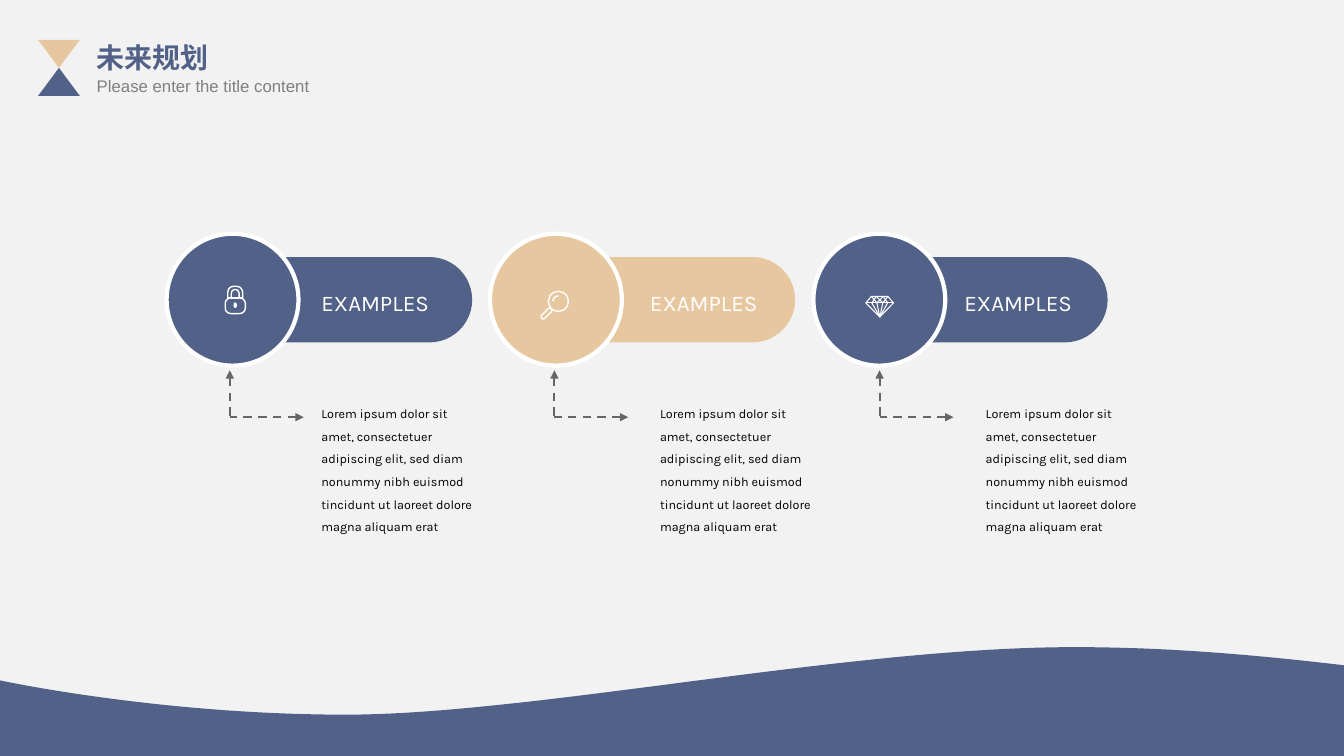
from dataclasses import dataclass

from lxml.etree import SubElement
from pptx import Presentation
from pptx.dml.color import RGBColor
from pptx.enum.dml import MSO_LINE
from pptx.enum.shapes import MSO_CONNECTOR, MSO_SHAPE as SHAPE
from pptx.oxml.ns import qn
from pptx.util import Pt


@dataclass(frozen=True)
class Theme:
    background: str = "F2F2F2"
    blue: str = "526188"
    sand: str = "E7C7A0"
    white: str = "FFFFFF"
    arrow: str = "666666"
    subtitle: str = "808080"
    body: str = "000000"
    title_size: int = 20
    subtitle_size: int = 12
    label_size: int = 16
    body_size: int = 9
    heading_font: str = "Arial"
    body_font: str = "Karla"


theme = Theme()
presentation = Presentation()
presentation.slide_width, presentation.slide_height = Pt(960), Pt(540)
slide = presentation.slides.add_slide(presentation.slide_layouts[6])
slide.background.fill.solid()
slide.background.fill.fore_color.rgb = RGBColor.from_string(theme.background)
shapes = slide.shapes


def paint(shape, fill=None, line=None, weight=1):
    """Give a shape its fill and outline; None leaves that part empty."""
    shape.shadow.inherit = False
    for part, color in ((shape.fill, fill), (shape.line.fill, line)):
        if color:
            part.solid()
            part.fore_color.rgb = RGBColor.from_string(color)
        else:
            part.background()
    if line:
        shape.line.width = Pt(weight)
    return shape


def add_text(box, text, font, size, color, bold=False, spacing=1.0):
    frame = shapes.add_textbox(*map(Pt, box)).text_frame
    frame.word_wrap = True
    paragraph = frame.paragraphs[0]
    paragraph.text = text
    paragraph.line_spacing = spacing
    paragraph.font.name = font
    paragraph.font.size = Pt(size)
    paragraph.font.bold = bold
    paragraph.font.color.rgb = RGBColor.from_string(color)


# Wave along the bottom edge, sampled from three Bézier curves
wave_curves = [
    ((960, 475.2), (887, 466.6), (827.3, 462.24), (766.8, 462.24)),
    ((766.8, 462.24), (604.8, 462.24), (380.16, 510.48), (246.96, 510.48)),
    ((246.96, 510.48), (113.04, 510.48), (0, 486), (0, 486)),
]
steps = 40
wave_points = []
for curve in wave_curves:
    for step in range(steps + 1):
        t = step / steps
        weights = ((1 - t) ** 3, 3 * t * (1 - t) ** 2, 3 * t * t * (1 - t), t ** 3)
        wave_points.append([
            Pt(sum(weight * point[axis] for weight, point in zip(weights, curve)))
            for axis in (0, 1)
        ])
wave = shapes.build_freeform(Pt(960), Pt(540))
wave.add_line_segments(wave_points + [(0, Pt(540))])
paint(wave.convert_to_shape(), theme.blue)

# Heading with its hourglass
for top, rotation, color in ((48.5, 0, theme.blue), (28.5, 180, theme.sand)):
    triangle = shapes.add_shape(SHAPE.ISOSCELES_TRIANGLE, Pt(27.2), Pt(top), Pt(29.8), Pt(20))
    triangle.rotation = rotation
    paint(triangle, color)
add_text((62, 25.2, 129, 32), "未来规划", theme.heading_font, theme.title_size, theme.blue, bold=True)
add_text((62, 50.4, 190, 22), "Please enter the title content",
         theme.heading_font, theme.subtitle_size, theme.subtitle)

# Three steps: colour, then left edges of pill, label, elbow arrow and text
body_text = ("Lorem ipsum dolor sit amet, consectetuer adipiscing elit, sed diam "
             "nonummy nibh euismod tincidunt ut laoreet dolore magna aliquam erat")
step_columns = [
    (theme.blue, 160.3, 222.5, 164.2, 222.5),
    (theme.sand, 391, 457.2, 396, 464.4),
    (theme.blue, 614.2, 681.8, 628.3, 697),
]
circle_size, circle_pitch = 94.2, 231
for index, (color, pill_x, label_x, elbow_x, text_x) in enumerate(step_columns):
    circle_x = 119 + index * circle_pitch
    pill = shapes.add_shape(SHAPE.ROUNDED_RECTANGLE, Pt(pill_x), Pt(183.6), Pt(177), Pt(61))
    pill.adjustments[0] = 0.5
    paint(pill, color)
    circle = shapes.add_shape(SHAPE.OVAL, Pt(circle_x), Pt(167), Pt(circle_size), Pt(circle_size))
    paint(circle, color, theme.white, 3)

    for tip_x, tip_y in ((elbow_x + 52.8, 298), (elbow_x, 264.5)):
        arrow = shapes.add_connector(MSO_CONNECTOR.STRAIGHT, Pt(tip_x), Pt(tip_y), Pt(elbow_x), Pt(298))
        arrow.line.color.rgb = RGBColor.from_string(theme.arrow)
        arrow.line.width = Pt(1.5)
        arrow.line.dash_style = MSO_LINE.DASH
        SubElement(arrow.line._get_or_add_ln(), qn("a:headEnd"), type="triangle")
        SubElement(arrow._element.spPr, qn("a:effectLst"))

    add_text((label_x, 203, 94.3, 26.6), "EXAMPLES", theme.body_font, theme.label_size, theme.white)
    add_text((text_x, 280.8, 126.7, 121.7), body_text,
             theme.body_font, theme.body_size, theme.body, spacing=1.5)

# Padlock and magnifier: preset, box, adjustments, rotation
icon_parts = [
    (SHAPE.ROUNDED_RECTANGLE, (160.9, 212.8, 14.4, 11.2), [0.35], 0),
    (SHAPE.ROUND_2_SAME_RECTANGLE, (162.7, 204.5, 10.6, 8.3), [0.5], 0),
    (SHAPE.ROUND_2_SAME_RECTANGLE, (165.2, 206.8, 5.6, 6), [0.5], 0),
    (SHAPE.OVAL, (391.7, 208.1, 14.4, 14.4), [], 0),
    (SHAPE.ROUNDED_RECTANGLE, (385.6, 222.3, 9.6, 3.2), [0.5], 315),
    (SHAPE.ARC, (394.9, 211.3, 8, 8), [108, 162], 0),
]
for preset, box, adjustments, rotation in icon_parts:
    part = shapes.add_shape(preset, *map(Pt, box))
    for position, value in enumerate(adjustments):
        part.adjustments[position] = value
    part.rotation = rotation
    paint(part, line=theme.white)
paint(shapes.add_shape(SHAPE.OVAL, Pt(166.8), Pt(216), Pt(2.5), Pt(4)), theme.white)

# Diamond: outline, girdle and facets
crown, girdle, tip = 211.7, 216.4, 226.4
diamond_lines = [
    [(622.4, crown), (634.3, crown), (638.3, girdle), (628.5, tip), (618.5, girdle), (622.4, crown)],
    [(618.5, girdle), (638.3, girdle)],
    [(622.8, girdle), (628.5, tip), (634, girdle)],
    [(626.4, girdle), (628.5, tip), (630.6, girdle)],
    [(622.4, crown), (626.4, girdle), (631, crown), (634, girdle)],
    [(622.8, girdle), (626, crown), (630.6, girdle), (634.3, crown)],
]
for points in diamond_lines:
    start, *rest = [(Pt(x), Pt(y)) for x, y in points]
    facet = shapes.build_freeform(*start)
    facet.add_line_segments(rest, close=False)
    paint(facet.convert_to_shape(), line=theme.white, weight=0.75)

presentation.save("out.pptx")
